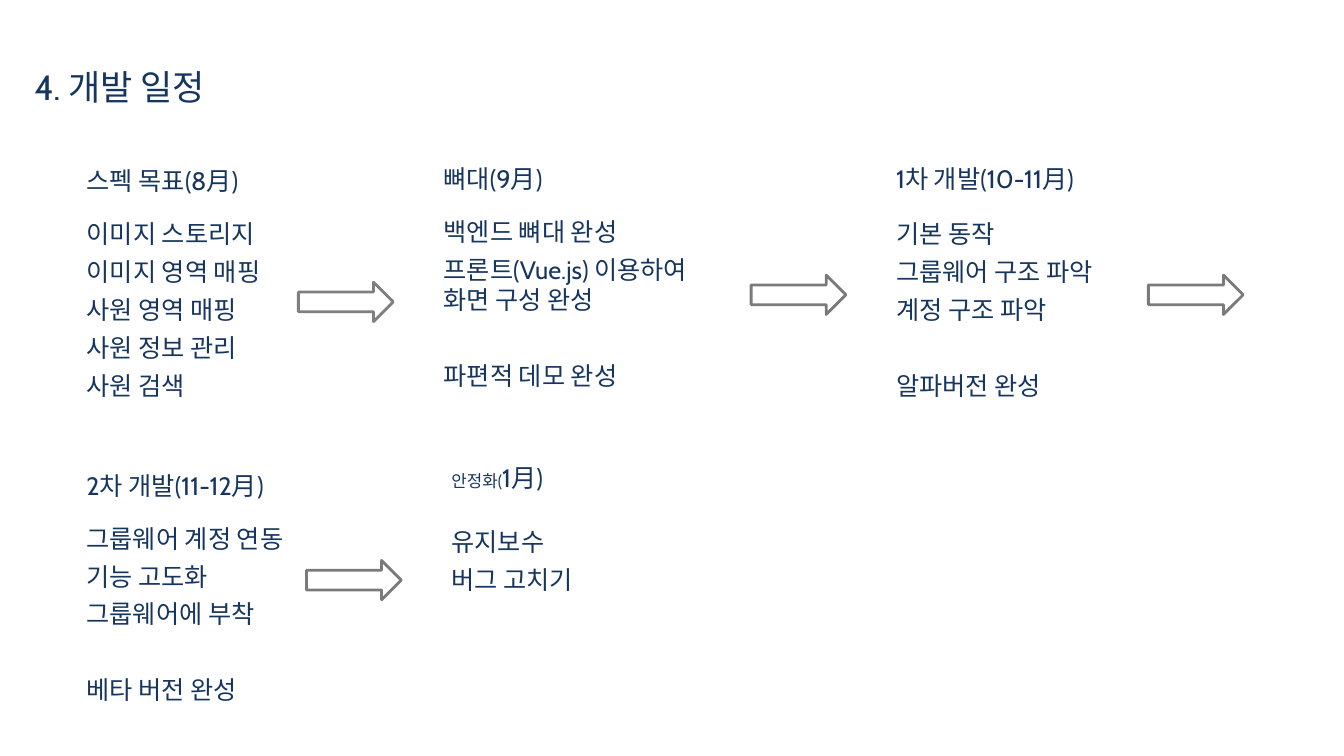
from pptx import Presentation
from pptx.dml.color import RGBColor
from pptx.enum.shapes import MSO_SHAPE as Shape
from pptx.enum.text import MSO_ANCHOR as Anchor, MSO_AUTO_SIZE as AutoSize, PP_ALIGN as Align
from pptx.oxml.ns import qn
from pptx.util import Inches, Pt

NAVY = "17365F"
GRAY = "7A7A7A"
WHITE = "FFFFFF"
FONT = "Cabin"
BODY_SIZE = 18
COMPARISON_LAYOUT = 4

PHASES = [
    {"left": 0.76, "heading": "스펙 목표(8月)", "heading_top": 1.59, "list_top": 2.12,
     "tasks": ["이미지 스토리지", "이미지 영역 매핑", "사원 영역 매핑", "사원 정보 관리", "사원 검색"]},
    {"left": 4.3, "heading": "뼈대(9月)", "heading_top": 1.57, "list_top": 2.1, "width": 2.83,
     "tasks": ["백엔드 뼈대 완성", "프론트(Vue.js) 이용하여 화면 구성 완성"],
     "milestone": "파편적 데모 완성"},
    {"left": 8.79, "heading": "1차 개발(10-11月)", "heading_top": 1.57, "list_top": 2.12,
     "tasks": ["기본 동작", "그룹웨어 구조 파악", "계정 구조 파악"],
     "milestone": "알파버전 완성"},
    {"left": 0.76, "heading": "2차 개발(11-12月)", "heading_top": 4.62, "list_top": 5.14,
     "tasks": ["그룹웨어 계정 연동", "기능 고도화", "그룹웨어에 부착"],
     "milestone": "베타 버전 완성"},
    {"left": 4.38, "heading": [("안정화(", 12), ("1月)", BODY_SIZE)],
     "heading_top": 4.54, "list_top": 5.17, "tasks": ["유지보수", "버그 고치기"]},
]

ARROWS = [(2.96, 2.8, "7F7F7F"), (7.45, 2.73, GRAY), (11.39, 2.73, GRAY), (3.04, 5.56, GRAY)]


def rgb(value):
    """Turn a hex string into a colour."""
    return RGBColor.from_string(value)


def place(box, left, top, width, height=0.77):
    """Move a box and give it a plain top-anchored text frame."""
    box.left, box.top = Inches(left), Inches(top)
    box.width, box.height = Inches(width), Inches(height)
    frame = box.text_frame
    frame.word_wrap = True
    frame.auto_size = AutoSize.NONE
    frame.vertical_anchor = Anchor.TOP
    return frame


def write(frame, text, size=BODY_SIZE, color=NAVY, before=5.4, first=False):
    """Write one paragraph from a string or from (text, size) pairs."""
    para = frame.paragraphs[0] if first else frame.add_paragraph()
    para.alignment = Align.LEFT
    para.space_before = Pt(before)
    properties = para._p.get_or_add_pPr()
    properties.set("marL", "0")
    properties.set("indent", "0")
    properties.append(properties.makeelement(qn("a:buNone"), {}))
    spans = [(text, size)] if isinstance(text, str) else text
    for words, points in spans:
        span = para.add_run()
        span.text = words
        span.font.name = FONT
        span.font.size = Pt(points)
        span.font.bold = False
        span.font.color.rgb = rgb(color)


def add_phase(heading_box, list_box, phase):
    """Fill a heading box and a task list box for one phase."""
    left = phase["left"]
    heading = place(heading_box, left, phase["heading_top"], 2.6)
    write(heading, phase["heading"], first=True)
    tasks = place(list_box, left, phase["list_top"], phase.get("width", 2.6))
    for index, task in enumerate(phase["tasks"]):
        write(tasks, task, first=index == 0)
    if "milestone" in phase:
        write(tasks, phase["milestone"], before=32.4)


def add_arrow(slide, left, top, color):
    """Draw an outlined arrow between two phases."""
    arrow = slide.shapes.add_shape(
        Shape.RIGHT_ARROW, Inches(left), Inches(top), Inches(0.94), Inches(0.39))
    arrow.shadow.inherit = False
    arrow.fill.solid()
    arrow.fill.fore_color.rgb = rgb(WHITE)
    arrow.line.color.rgb = rgb(color)
    arrow.line.width = Pt(2)


def main():
    """Build the development schedule slide."""
    deck = Presentation()
    deck.slide_width, deck.slide_height = Inches(13.33), Inches(7.5)
    slide = deck.slides.add_slide(deck.slide_layouts[COMPARISON_LAYOUT])
    title = place(slide.shapes.title, 0.24, 0.6, 8.94)
    write(title, "4. 개발 일정", size=25, before=7.5, first=True)

    boxes = [slide.placeholders[index] for index in range(1, 5)]
    while len(boxes) < 2 * len(PHASES):
        boxes.append(slide.shapes.add_textbox(0, 0, 0, 0))
    for heading_box, list_box, phase in zip(boxes[::2], boxes[1::2], PHASES):
        add_phase(heading_box, list_box, phase)

    for left, top, color in ARROWS:
        add_arrow(slide, left, top, color)
    deck.save("out.pptx")


if __name__ == "__main__":
    main()
